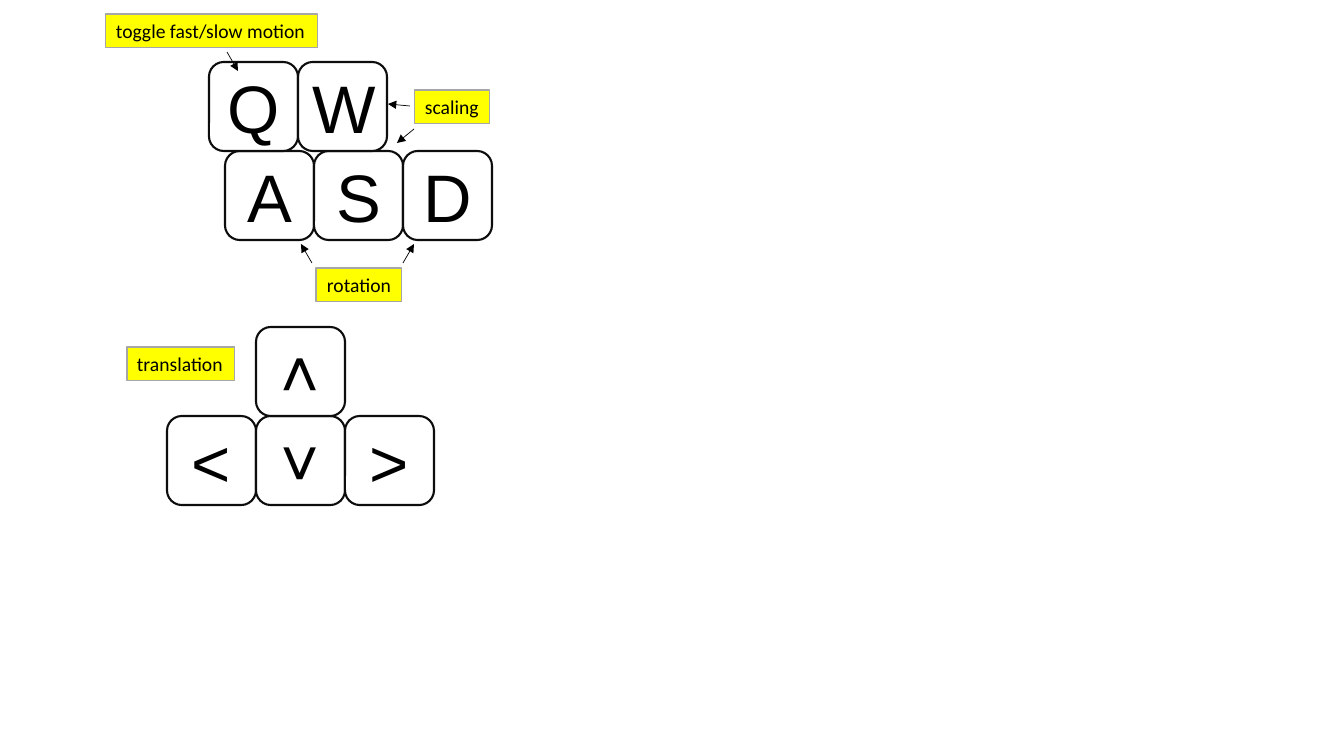
from lxml import etree
from pptx import Presentation
from pptx.dml.color import RGBColor
from pptx.enum.shapes import MSO_CONNECTOR, MSO_SHAPE
from pptx.enum.text import MSO_ANCHOR, MSO_AUTO_SIZE, PP_ALIGN
from pptx.oxml.ns import qn
from pptx.util import Pt

PX = 914400 / 100.8
ROUND = MSO_SHAPE.ROUNDED_RECTANGLE
STRAIGHT = MSO_CONNECTOR.STRAIGHT
MIDDLE = MSO_ANCHOR.MIDDLE
GROW = MSO_AUTO_SIZE.SHAPE_TO_FIT_TEXT
LEFT, CENTER = PP_ALIGN.LEFT, PP_ALIGN.CENTER
WHITE = RGBColor(0xFF, 0xFF, 0xFF)
BLACK = RGBColor(0, 0, 0)
EDGE = RGBColor(0x0D, 0x0D, 0x0D)
YELLOW = RGBColor(0xFF, 0xFF, 0)
GRAY = RGBColor(0xA6, 0xA6, 0xA6)
KEY = 89


def px(*sizes):
    return [round(size * PX) for size in sizes]


def style(shape, text, font, size, align, fill, line, width):
    shape.fill.solid()
    shape.fill.fore_color.rgb = fill
    shape.line.color.rgb = line
    shape.line.width = Pt(width)
    para = shape.text_frame.paragraphs[0]
    para.text = text
    para.alignment = align
    face = para.runs[0].font
    face.name = font
    face.size = Pt(size)
    face.color.rgb = BLACK


deck = Presentation()
deck.slide_width, deck.slide_height = px(1344, 756)
shapes = deck.slides.add_slide(deck.slide_layouts[6]).shapes

# Keys: left and top of each row, then its letters
rows = [
    (225, 151, "ASD"),
    (209, 62, "QW"),
    (167, 416, "˂˅˃"),
    (256, 327, "˄"),
]
for left, top, letters in rows:
    for i, letter in enumerate(letters):
        key = shapes.add_shape(ROUND, *px(left + i * KEY, top, KEY, KEY))
        key.shadow.inherit = False
        key.text_frame.vertical_anchor = MIDDLE
        style(key, letter, "Arial", 48, CENTER, WHITE, EDGE, 1.5)

# Labels
labels = [
    ("toggle fast/slow motion", 106, 14, 212, LEFT),
    ("scaling", 415, 90, 75, LEFT),
    ("rotation", 316, 268, 86, CENTER),
    ("translation", 127, 347, 108, LEFT),
]
for text, left, top, width, align in labels:
    label = shapes.add_textbox(*px(left, top, width, 34))
    label.text_frame.word_wrap = False
    label.text_frame.auto_size = GROW
    style(label, text, "Calibri", 14, align, YELLOW, GRAY, 0.75)

# Arrows from labels to keys
arrows = [
    (227, 52, 238, 71),
    (410, 106, 388, 104),
    (414, 129, 397, 143),
    (312, 263, 301, 244),
    (403, 263, 414, 244),
]
for ends in arrows:
    arrow = shapes.add_connector(STRAIGHT, *px(*ends))
    arrow.line.color.rgb = BLACK
    arrow.line.width = Pt(0.5)
    line = arrow.line._get_or_add_ln()
    etree.SubElement(line, qn("a:tailEnd"), type="triangle")
    etree.SubElement(arrow._element.spPr, qn("a:effectLst"))

deck.save("out.pptx")
